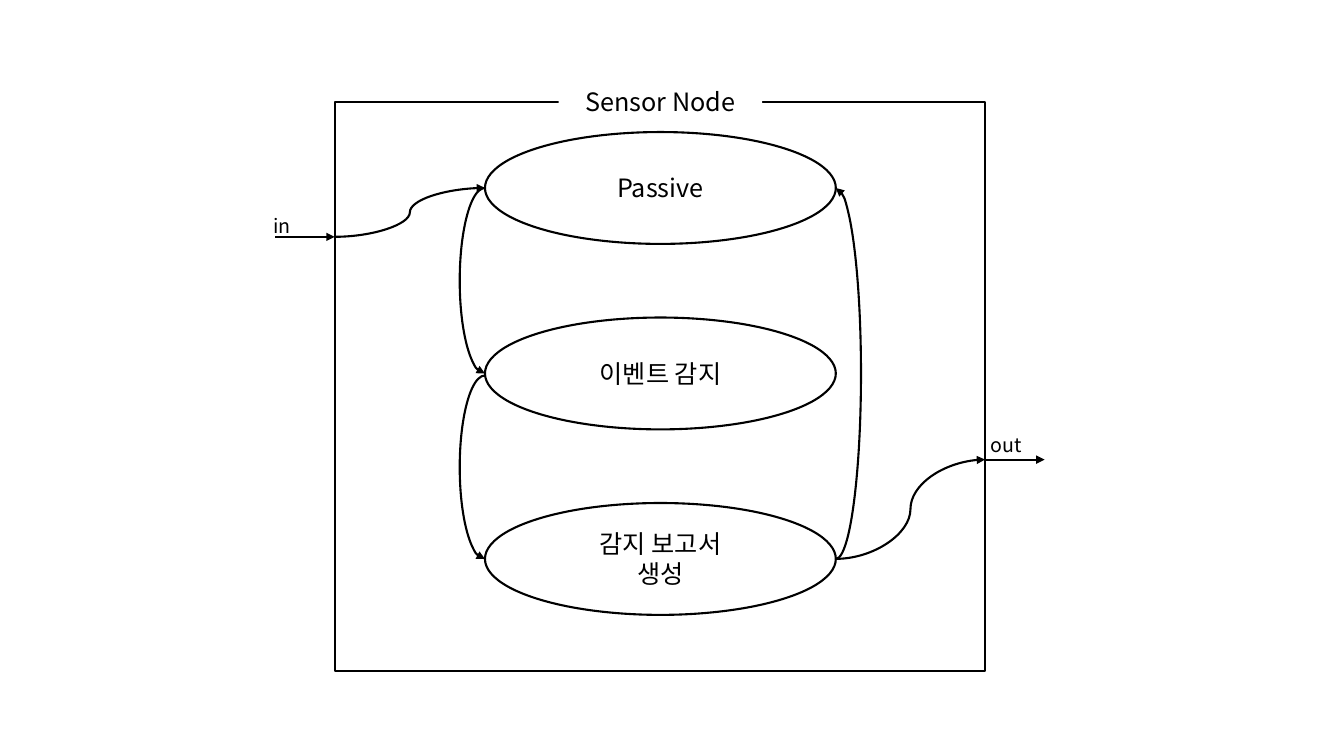
from lxml import etree
from pptx import Presentation
from pptx.dml.color import RGBColor
from pptx.enum.shapes import MSO_CONNECTOR, MSO_SHAPE
from pptx.enum.text import MSO_ANCHOR, MSO_AUTO_SIZE, PP_ALIGN
from pptx.oxml.ns import qn
from pptx.util import Inches, Pt

FONT = "Noto Sans CJK KR"
BLACK, WHITE = "000000", "FFFFFF"

TITLE = "Sensor Node"
STATES = ["Passive", "이벤트 감지", "감지 보고서\n생성"]
NODE = (3.32, 1.01, 6.45, 5.65)
STATE_LEFT, STATE_TOP, STATE_W, STATE_H, STATE_STEP = 4.81, 1.31, 3.48, 1.11, 1.84
LABEL_LEFT, LABEL_W, LINE_H = 5.54, 2.02, 0.31
PORTS = [("in", (2.61, 2.07, 0.42, 0.34)), ("out", (9.73, 4.25, 0.52, 0.34))]
IN_Y, OUT_Y, PORT_LENGTH = 2.35, 4.56, 0.59
LOOP_GAP = 0.02
LOOP_BULGE = 0.25
QUARTER_TURN = 54  # 90 degrees in arc adjustment units


def color(value):
    return RGBColor.from_string(value)


def style_line(line):
    line.color.rgb = color(BLACK)
    line.width = Pt(1.5)


def add_outline(kind, box):
    sp = slide.shapes.add_shape(kind, *map(Inches, box))
    sp.shadow.inherit = False
    sp.fill.background()
    style_line(sp.line)
    return sp


def add_arrowhead(sp, end):
    ln = sp._element.spPr.find(qn("a:ln"))
    etree.SubElement(ln, qn(f"a:{end}")).set("type", "triangle")


def write(sp, text, size, align):
    tf = sp.text_frame
    tf.text = text
    tf.word_wrap = True
    tf.auto_size = MSO_AUTO_SIZE.SHAPE_TO_FIT_TEXT
    for p in tf.paragraphs:
        p.alignment = align
        for r in p.runs:
            r.font.size = Pt(size)
            r.font.name = FONT
            r.font.color.rgb = color(BLACK)
            ea = etree.SubElement(r._r.get_or_add_rPr(), qn("a:ea"))
            ea.set("typeface", FONT)


def add_label(box, text, size, align):
    write(slide.shapes.add_textbox(*map(Inches, box)), text, size, align)


def add_arrow(kind, start, end):
    arrow = slide.shapes.add_connector(kind, *map(Inches, start + end))
    style_line(arrow.line)
    add_arrowhead(arrow, "tailEnd")
    etree.SubElement(arrow._element.spPr, qn("a:effectLst"))


def add_loop(x, top, bottom, on_left):
    """Half-ellipse arrow: down the left side, or up the right side."""
    box = (x - LOOP_BULGE, top, 2 * LOOP_BULGE, bottom - top)
    loop = add_outline(MSO_SHAPE.ARC, box)
    turns = (1, 3) if on_left else (3, 1)  # arcs run clockwise from the right
    for i, turn in enumerate(turns):
        loop.adjustments[i] = turn * QUARTER_TURN
    add_arrowhead(loop, "headEnd")


prs = Presentation()
prs.slide_width, prs.slide_height = Inches(13.33), Inches(7.5)
slide = prs.slides.add_slide(prs.slide_layouts[6])

node_left, node_top, node_w, _ = NODE
node_right = node_left + node_w
state_right = STATE_LEFT + STATE_W
state_tops = [STATE_TOP + i * STATE_STEP for i in range(len(STATES))]
passive_y, detect_y, report_y = [top + STATE_H / 2 for top in state_tops]

add_outline(MSO_SHAPE.RECTANGLE, NODE)
title = add_outline(MSO_SHAPE.RECTANGLE, (LABEL_LEFT, node_top - 0.2, LABEL_W, 0.4))
title.fill.solid()
title.fill.fore_color.rgb = color(WHITE)
title.line.fill.background()
title.text_frame.vertical_anchor = MSO_ANCHOR.TOP
write(title, TITLE, 18, PP_ALIGN.CENTER)

for text, top in zip(STATES, state_tops):
    add_outline(MSO_SHAPE.OVAL, (STATE_LEFT, top, STATE_W, STATE_H))
    height = 0.09 + LINE_H * len(text.split("\n"))
    label_top = top + (STATE_H - height) / 2
    add_label((LABEL_LEFT, label_top, LABEL_W, height), text, 18, PP_ALIGN.CENTER)

add_loop(STATE_LEFT, passive_y, detect_y, on_left=True)
add_loop(STATE_LEFT, detect_y + LOOP_GAP, report_y, on_left=True)
add_loop(state_right, passive_y, report_y, on_left=False)

for y, x in [(IN_Y, node_left - PORT_LENGTH), (OUT_Y, node_right)]:
    add_arrow(MSO_CONNECTOR.STRAIGHT, (x, y), (x + PORT_LENGTH, y))
add_arrow(MSO_CONNECTOR.CURVE, (node_left, IN_Y), (STATE_LEFT, passive_y))
add_arrow(MSO_CONNECTOR.CURVE, (state_right, report_y), (node_right, OUT_Y))

for text, box in PORTS:
    add_label(box, text, 14, PP_ALIGN.LEFT)

prs.save("out.pptx")
